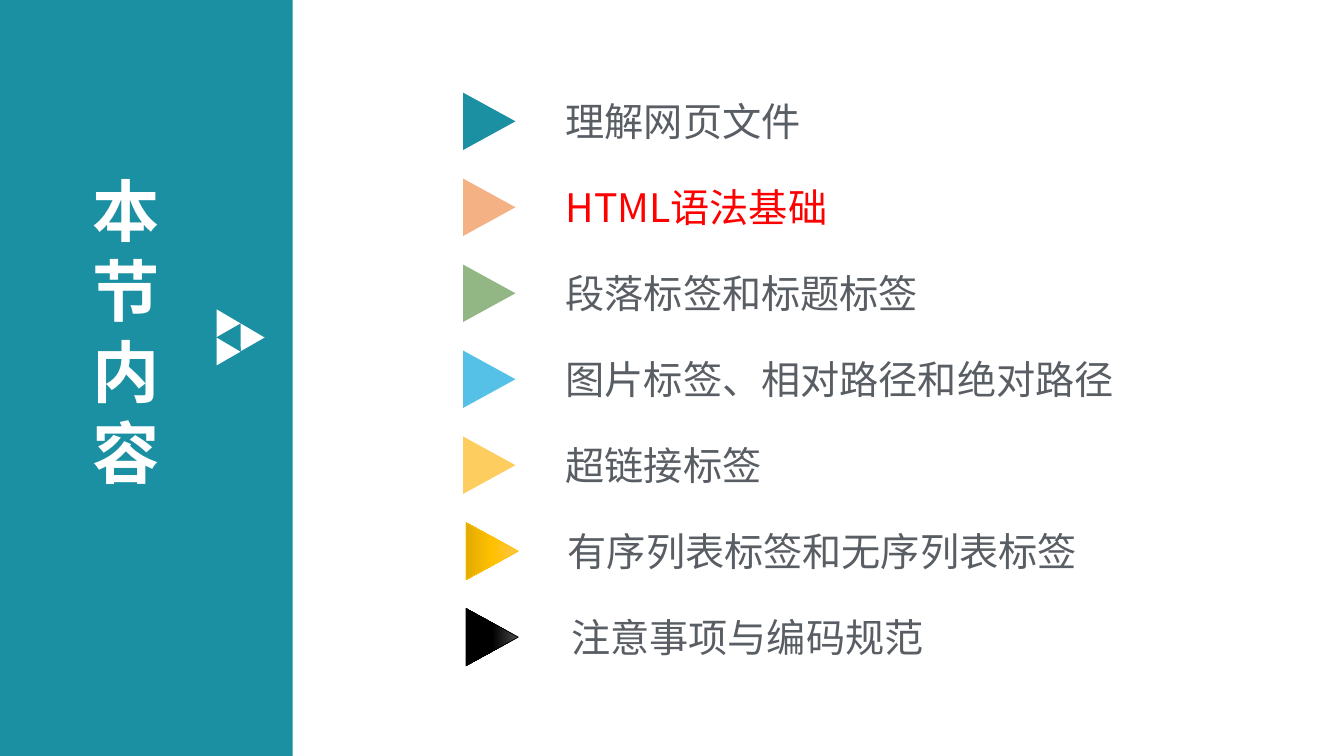
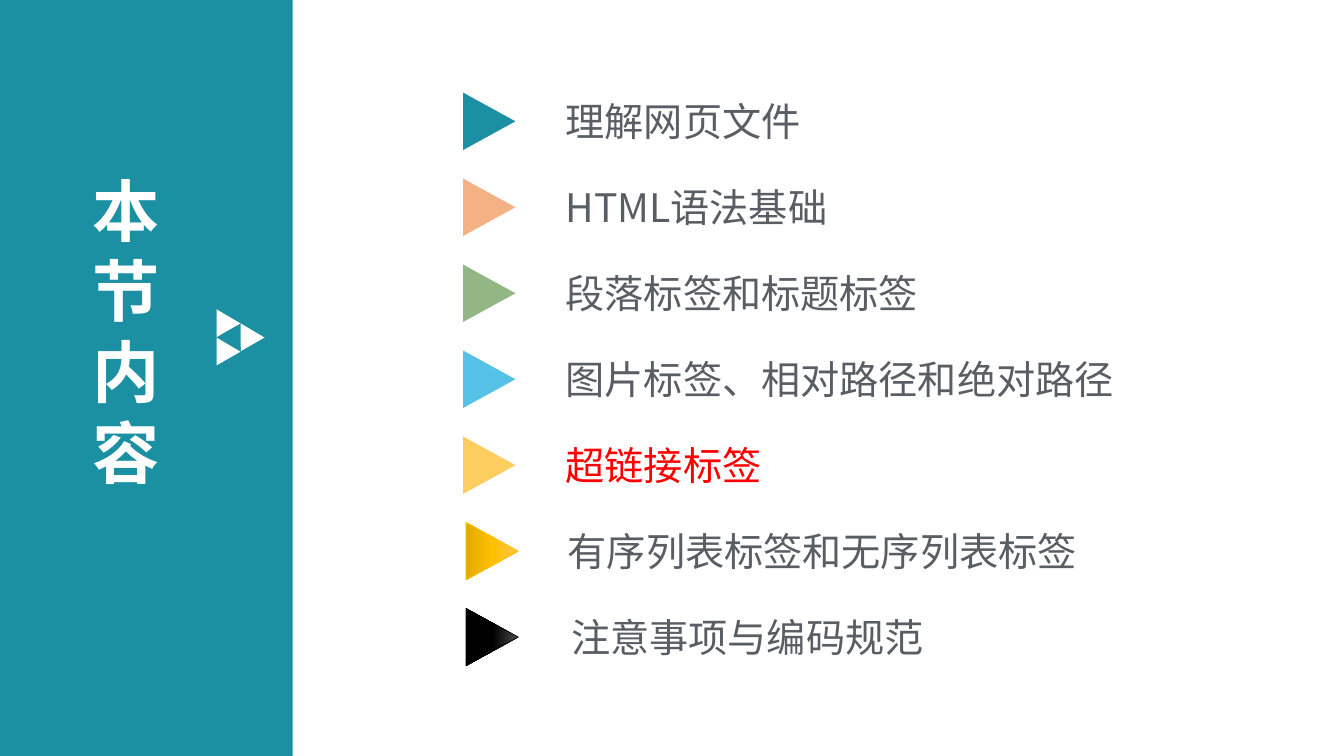
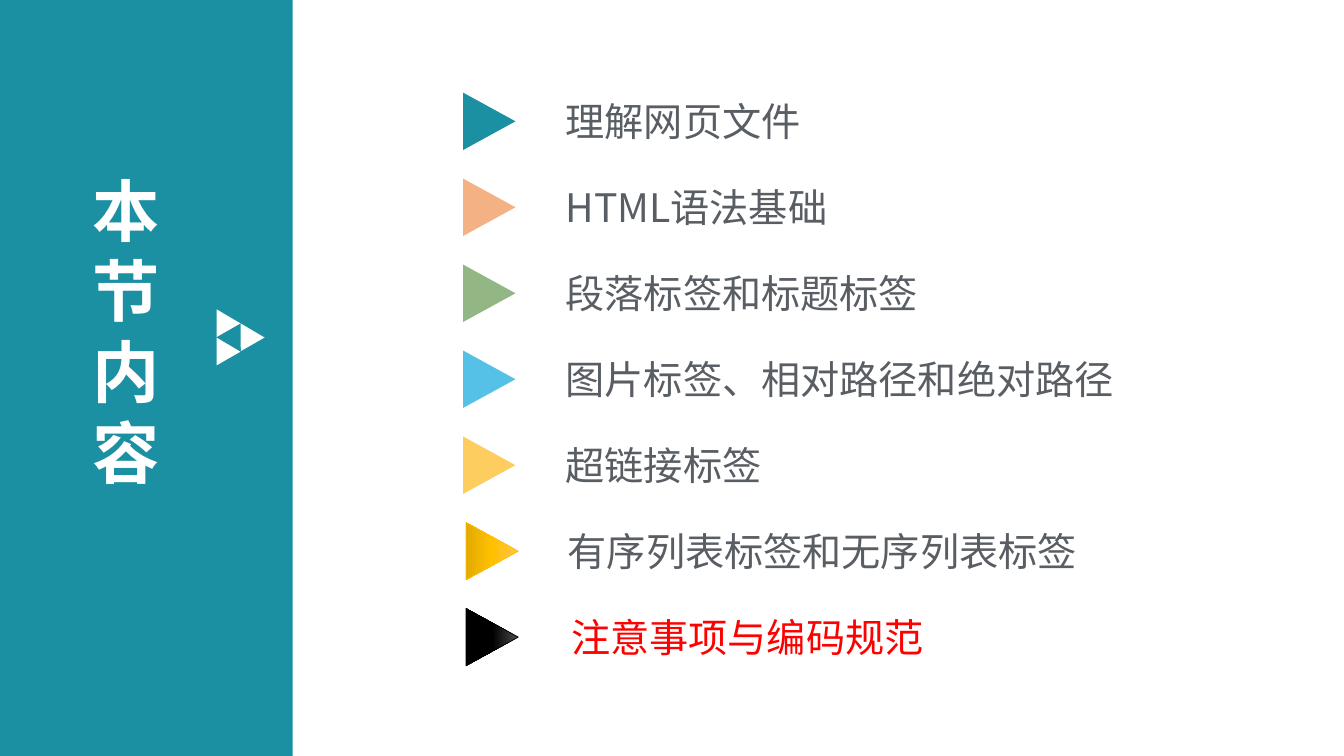
import collections
import copy

import lxml.etree
import pptx
import pptx.dml.color
import pptx.enum.shapes
import pptx.enum.text
import pptx.oxml.ns
import pptx.util

Pt = pptx.util.Pt
SHAPE = pptx.enum.shapes.MSO_SHAPE
qn = pptx.oxml.ns.qn

FONT = "Noto Sans CJK SC"
TEAL, WHITE, GREY, RED = "1B90A2", "FFFFFF", "595E64", "FF0000"
GOLD_BLEND = ((0, "FFC64B"), (0.5, "FFC000"), (1, "E3AB00"))
BLACK_BLEND = ((0, "4B4B4B"), (0.5, "000000"), (1, "000000"))

FRAME_FORMAT = {
    "word_wrap": True,
    "auto_size": pptx.enum.text.MSO_AUTO_SIZE.NONE,
    "vertical_anchor": pptx.enum.text.MSO_ANCHOR.MIDDLE,
    "margin_left": Pt(7.2), "margin_right": Pt(7.2),
    "margin_top": Pt(3.6), "margin_bottom": Pt(3.6),
}
TITLE_FONT = {"name": FONT, "size": Pt(48), "bold": True}
TOPIC_FONT = {"name": FONT, "size": Pt(28), "bold": False}
TITLE_LINE_SPACING = Pt(57.6)

Topic = collections.namedtuple(
    "Topic", "text fill outline marker_shift text_shift", defaults=(None, 0, 0))
TOPICS = (
    Topic("理解网页文件", TEAL),
    Topic("HTML语法基础", "F4B183"),
    Topic("段落标签和标题标签", "93B784"),
    Topic("图片标签、相对路径和绝对路径", "55C1E7"),
    Topic("超链接标签", "FDCD5F"),
    Topic("有序列表标签和无序列表标签", GOLD_BLEND, "FFC000", 2, 1.5),
    Topic("注意事项与编码规范", BLACK_BLEND, "000000", 2, 4),
)
CURRENT_TOPICS = ("HTML语法基础", "超链接标签", "注意事项与编码规范")

# left, top, width, height
SIDEBAR = (-4.3, -2.2, 213.4, 544.3)
TOPIC_LIST = (329, 56, 583, 429.8)


def rgb(value):
    return pptx.dml.color.RGBColor.from_string(value)


def set_format(target, values):
    for name, value in values.items():
        setattr(target, name, value)


def fill_solid(sp, color):
    sp.fill.solid()
    sp.fill.fore_color.rgb = rgb(color)


def fill_gradient(sp, stops):
    """Blend the colours from the top to the bottom of the unrotated shape."""
    sp.fill.gradient()
    sp.fill.gradient_angle = 270
    gs_list = next(sp.element.iter(qn("a:gsLst")))
    while len(gs_list) < len(stops):
        gs_list.append(copy.deepcopy(gs_list[0]))
    for stop, (position, color) in zip(sp.fill.gradient_stops, stops):
        stop.position = position
        stop.color.rgb = rgb(color)


def add_shape(slide, kind, box, fill, outline=None, rotation=0):
    sp = slide.shapes.add_shape(kind, *map(Pt, box))
    sp.shadow.inherit = False
    sp.rotation = rotation
    if isinstance(fill, str):
        fill_solid(sp, fill)
    else:
        fill_gradient(sp, fill)
    if outline:
        sp.line.color.rgb = rgb(outline)
        sp.line.width = Pt(0.5)
    else:
        sp.line.fill.background()
    return sp


def write(sp, text, font_format, color, line_spacing=None):
    tf = sp.text_frame
    set_format(tf, FRAME_FORMAT)
    p = tf.paragraphs[0]
    p.alignment = pptx.enum.text.PP_ALIGN.LEFT
    p.line_spacing = line_spacing
    r = p.add_run()
    r.text = text
    set_format(r.font, font_format)
    r.font.color.rgb = rgb(color)
    set_east_asian_font(sp)


def set_east_asian_font(sp):
    """Use FONT for Chinese characters; font.name covers only Latin ones."""
    for r_pr in sp.element.iter(qn("a:rPr")):
        lxml.etree.SubElement(r_pr, qn("a:ea"), typeface=FONT)


def add_emblem(slide, left, top):
    """Three small triangles that together point to the right."""
    width, height = 19.6, 17.2
    step = 20.2
    for dx, dy in ((0, 0), (0, step), (height, step / 2)):
        add_shape(slide, SHAPE.ISOSCELES_TRIANGLE,
                  (left + dx, top + dy, width, height), WHITE, rotation=330.2)


def add_sidebar(slide, box):
    left, top, _, _ = box
    band = add_shape(slide, SHAPE.RECTANGLE, box, TEAL)
    slide.shapes.element.insert(2, band.element)  # behind the title
    title = slide.shapes.title
    set_format(title, {"left": Pt(left + 63.3), "top": Pt(top + 118.2),
                       "width": Pt(66.2), "height": Pt(239.8)})
    write(title, "本节内容", TITLE_FONT, WHITE, TITLE_LINE_SPACING)
    add_emblem(slide, left + 153.5, top + 222)


def add_topic(slide, box, topic, color):
    """One row of the list: a marker pointing right, then its wording."""
    left, top, width, height = box
    middle = top + height / 2
    marker_width, marker_height = 41, 37.4
    text_offset, text_height = 68, 41
    add_shape(slide, SHAPE.ISOSCELES_TRIANGLE,
              (left + topic.marker_shift, middle - marker_height / 2,
               marker_width, marker_height),
              topic.fill, topic.outline, rotation=90)
    label_box = (left + text_offset + topic.text_shift,
                 middle - text_height / 2, width - text_offset, text_height)
    label = slide.shapes.add_textbox(*map(Pt, label_box))
    write(label, topic.text, TOPIC_FONT, color)


def add_topic_list(slide, box, current):
    left, top, width, height = box
    row_height = height / len(TOPICS)
    for i, topic in enumerate(TOPICS):
        row = (left, top + i * row_height, width, row_height)
        add_topic(slide, row, topic, RED if topic.text == current else GREY)


def add_contents_slide(prs, current):
    slide = prs.slides.add_slide(prs.slide_layouts.get_by_name("Title Only"))
    add_sidebar(slide, SIDEBAR)
    add_topic_list(slide, TOPIC_LIST, current)


def main():
    prs = pptx.Presentation()
    prs.slide_width, prs.slide_height = Pt(960), Pt(540)
    for current in CURRENT_TOPICS:
        add_contents_slide(prs, current)
    prs.save("out.pptx")


if __name__ == "__main__":
    main()
